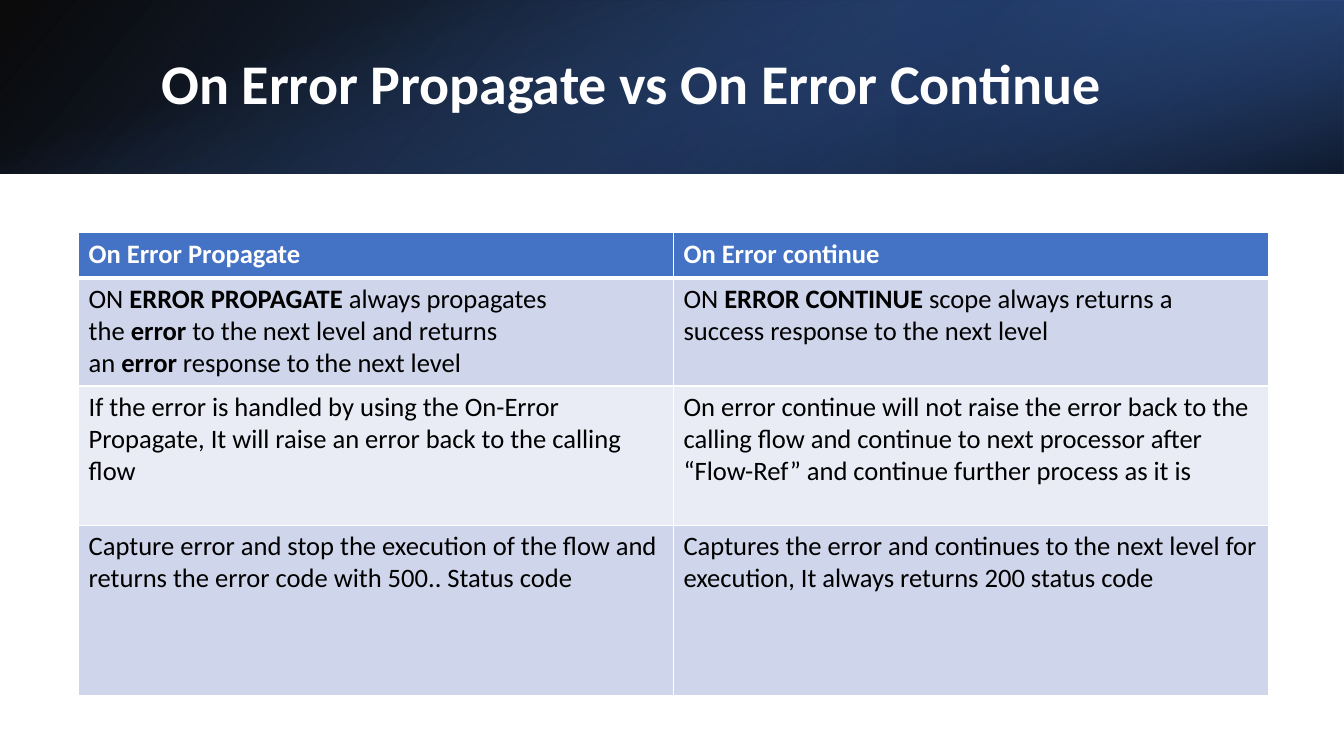
from pptx import Presentation
from pptx.dml.color import RGBColor
from pptx.enum.shapes import MSO_SHAPE
from pptx.enum.text import MSO_ANCHOR, MSO_AUTO_SIZE, PP_ALIGN
from pptx.oxml import parse_xml
from pptx.oxml.ns import nsdecls
from pptx.util import Inches, Pt

HUES = {
    "white": "FFFFFF", "black": "000000", "blue": "4472C4", "deep": "2F5597",
    "navy": "203864", "band": "CFD5EA", "pale": "E9EBF5",
}
ROWS = [
    ("On Error Propagate", "On Error continue"),
    ("ON_*ERROR PROPAGATE*_always propagates the_*error*_to the next level"
     " and returns an_*error*_response to the next level",
     "ON_*ERROR CONTINUE*_scope always returns a success response to the next level"),
    ("If the error is handled by using the On-Error Propagate, It will raise"
     " an error back to the calling flow",
     "On error continue will not raise the error back to the calling flow and continue"
     " to next processor after “Flow-Ref” and continue further process as it is"),
    ("Capture error and stop the execution of the flow and returns the error code"
     " with 500.. Status code",
     "Captures the error and continues to the next level for execution,"
     " It always returns 200 status code"),
]
TALL = [0.45, 1.07, 1.38, 1.69]
BANDS = [
    ((0, 0, 13.33, 1.72), 0, True, 140, [(0, "black", 96), (100, "deep", 100)]),
    ((8.89, 0, 4.44, 1.72), 180, True, 320, [(19, "navy", 68), (100, "blue", 79)]),
    ((5.8, -5.8, 1.72, 13.33), 90, False, 340, [(23, "blue", 0), (99, "black", 74)]),
]


class Page:
    face = "Calibri"

    def __init__(self, deck):
        self.slide = deck.slides.add_slide(deck.slide_layouts[5])
        self.shapes = self.slide.shapes

    def style(self, font, size, hue, bold):
        look = {"name": self.face, "size": Pt(size), "bold": bold}
        for key, val in look.items():
            setattr(font, key, val)
        font.color.rgb = RGBColor.from_string(HUES[hue])

    def band(self, box, turn, flip, angle, stops):
        shape = self.shapes.add_shape(MSO_SHAPE.RECTANGLE, *map(Inches, box))
        shape.shadow.inherit = False
        shape.line.fill.background()
        shape.rotation = turn
        prop = shape.element.spPr
        if flip:
            prop.xfrm.set("flipH", "1")
        marks = "".join(
            f'<a:gs pos="{pos * 1000}"><a:srgbClr val="{HUES[hue]}">'
            f'<a:alpha val="{solid * 1000}"/></a:srgbClr></a:gs>'
            for pos, hue, solid in stops)
        prop.prstGeom.addnext(parse_xml(
            f'<a:gradFill {nsdecls("a")} rotWithShape="1"><a:gsLst>{marks}</a:gsLst>'
            f'<a:lin ang="{angle * 60000}" scaled="0"/></a:gradFill>'))

    def title(self, text, box):
        shape = self.shapes.title
        for key, val in zip(("left", "top", "width", "height"), box):
            setattr(shape, key, Inches(val))
        frame = shape.text_frame
        look = {"text": text, "word_wrap": True, "auto_size": MSO_AUTO_SIZE.NONE,
                "vertical_anchor": MSO_ANCHOR.MIDDLE}
        for key, val in look.items():
            setattr(frame, key, val)
        para = frame.paragraphs[0]
        para.alignment = PP_ALIGN.LEFT
        para.line_spacing = 0.9
        self.style(para.runs[0].font, 40, "white", True)
        self.shapes.element.append(shape.element)

    def edge(self, cell, side, width):
        cell.get_or_add_tcPr().append(parse_xml(
            f'<a:{side} {nsdecls("a")} w="{Pt(width)}"><a:solidFill>'
            f'<a:srgbClr val="{HUES["white"]}"/></a:solidFill></a:{side}>'))

    def cell(self, cell, text, row):
        for side in ("lnL", "lnR", "lnT", "lnB"):
            thick = (row, side) in ((0, "lnB"), (1, "lnT"))
            self.edge(cell._tc, side, 3 if thick else 1)
        cell.fill.solid()
        fill = "blue" if row == 0 else "band" if row % 2 else "pale"
        cell.fill.fore_color.rgb = RGBColor.from_string(HUES[fill])
        para = cell.text_frame.paragraphs[0]
        for num, part in enumerate(text.replace("_", chr(160)).split("*")):
            run = para.add_run()
            run.text = part
            hue = "black" if row else "white"
            self.style(run.font, 19, hue, row == 0 or num % 2 == 1)

    def table(self, rows, tall, box):
        grid = self.shapes.add_table(len(rows), len(rows[0]), *map(Inches, box)).table
        for row, texts in enumerate(rows):
            grid.rows[row].height = Inches(tall[row])
            for col, text in enumerate(texts):
                self.cell(grid.cell(row, col), text, row)


def main():
    deck = Presentation()
    deck.slide_width, deck.slide_height = Inches(13.33), Inches(7.5)
    page = Page(deck)
    for band in BANDS:
        page.band(*band)
    page.title("On Error Propagate vs On Error Continue", (1.5, 0.38, 10.98, 0.96))
    page.table(ROWS, TALL, (0.78, 2.31, 11.8, sum(TALL)))
    deck.save("out.pptx")


if __name__ == "__main__":
    main()
